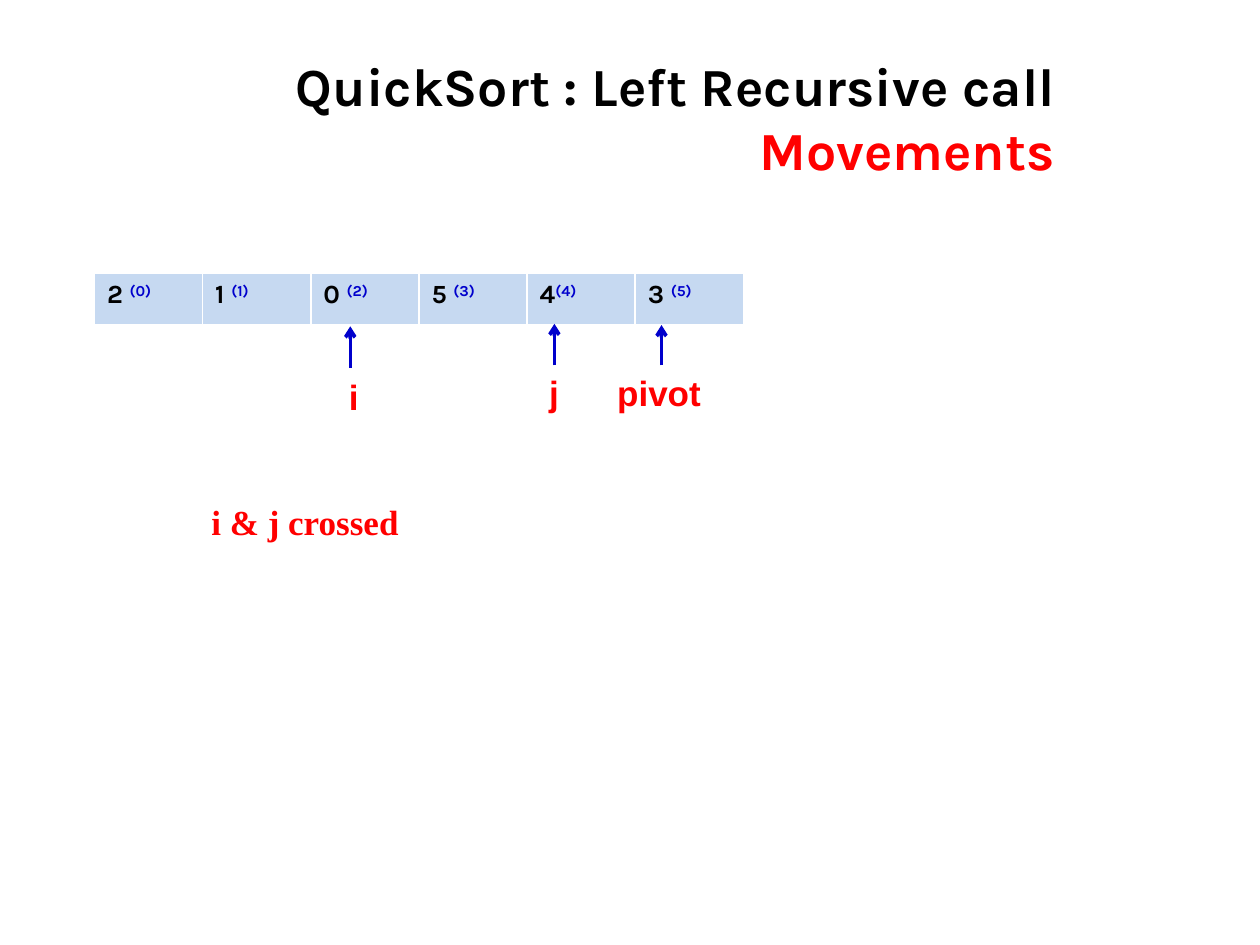
from copy import deepcopy

from lxml.etree import SubElement as Sub
from pptx import Presentation
from pptx.dml.color import RGBColor
from pptx.enum.shapes import MSO_CONNECTOR as Conn
from pptx.enum.text import MSO_ANCHOR as Anchor, MSO_AUTO_SIZE as Auto, PP_ALIGN as Align
from pptx.oxml.ns import qn
from pptx.util import Inches, Pt

BLACK, RED, BLUE, PALE, WHITE = "000000", "FF0000", "0000CC", "C6D9F1", "FFFFFF"


def tint(code):
    """Turn a hex string into a colour."""
    return RGBColor.from_string(code)


def write(para, text, font="Arial", size=20, color=RED, bold=True, base=0):
    """Add a formatted run to a paragraph."""
    run = para.add_run()
    run.text = text
    run.font.name, run.font.size, run.font.bold = font, Pt(size), bold
    run.font.color.rgb = tint(color)
    if base:
        run.font._element.set("baseline", str(base * 1000))
    return run


class Deck:
    """Hold the style and the current slide."""

    def __init__(self, font):
        """Open a deck with one title-only slide."""
        self.font = font
        self.file = Presentation()
        self.file.slide_width, self.file.slide_height = Inches(10), Inches(7.5)
        self.slide = self.file.slides.add_slide(self.file.slide_layouts[5])
        self.shapes = self.slide.shapes

    def title(self, left, top, width, height, first, last):
        """Set the title in two lines, the last one in red."""
        box = self.shapes.title
        box.left, box.top = Inches(left), Inches(top)
        box.width, box.height = Inches(width), Inches(height)
        frame = box.text_frame
        frame.margin_left = frame.margin_right = Inches(0.05)
        frame.margin_top = frame.margin_bottom = 0
        frame.vertical_anchor, frame.auto_size = Anchor.TOP, Auto.NONE
        para = frame.paragraphs[0]
        para.alignment = Align.RIGHT
        look = dict(font=self.font, size=30.6)
        run = write(para, first, color=BLACK, **look)
        para.add_line_break()
        para._p[-1].append(deepcopy(run.font._element))
        write(para, last, **look)

    def edge(self, cell):
        """Give a cell white borders with a thick bottom."""
        props = cell._tc.get_or_add_tcPr()
        for spot, (side, wide) in enumerate((("L", 1), ("R", 1), ("T", 1), ("B", 3))):
            line = Sub(props, qn(f"a:ln{side}"), w=str(Pt(wide)))
            Sub(Sub(line, qn("a:solidFill")), qn("a:srgbClr"), val=WHITE)
            props.insert(spot, line)

    def array(self, left, top, width, height, items):
        """Draw a row of values with raised indices."""
        count = len(items)
        grid = self.shapes.add_table(1, count, Inches(left), Inches(top),
                                     Inches(width), Inches(height)).table
        for index, value in enumerate(items):
            grid.columns[index].width = Inches(width / count)
            cell = grid.cell(0, index)
            cell.fill.solid()
            cell.fill.fore_color.rgb = tint(PALE)
            self.edge(cell)
            para = cell.text_frame.paragraphs[0]
            look = dict(font=self.font, size=15)
            write(para, value, color=BLACK, **look)
            write(para, f"({index})", color=BLUE, base=30, **look)

    def label(self, left, top, width, height, text, **look):
        """Add a text box that fits its text."""
        box = self.shapes.add_textbox(Inches(left), Inches(top), Inches(width), Inches(height))
        box.text_frame.word_wrap = False
        box.text_frame.auto_size = Auto.SHAPE_TO_FIT_TEXT
        write(box.text_frame.paragraphs[0], text, **look)
        return box

    def arrow(self, x, low, high, box=None):
        """Draw an upward arrow, joined to a box if given."""
        line = self.shapes.add_connector(Conn.STRAIGHT, Inches(x), Inches(low),
                                         Inches(x), Inches(high))
        if box:
            line.begin_connect(box, 0)
        line.line.color.rgb, line.line.width = tint(BLUE), Pt(2)
        Sub(line.line._get_or_add_ln(), qn("a:tailEnd"), type="arrow")
        Sub(line._element.spPr, qn("a:effectLst"))


def main():
    """Build and save the slide."""
    deck = Deck("Karla")
    deck.title(0.5, 0.42, 7.92, 0.92, "QuickSort : Left Recursive call", "Movements")
    deck.array(0.75, 2.17, 5.15, 0.42, ["2 ", "1 ", "0 ", "5 ", "4", "3 "])
    deck.label(2.67, 2.93, 0.28, 0.43, "i")
    deck.arrow(2.78, 2.92, 2.59)
    pivot = deck.label(4.8, 2.9, 0.9, 0.43, "pivot")
    deck.arrow(5.25, 2.9, 2.58, pivot)
    box = deck.label(4.26, 2.9, 0.28, 0.43, "j")
    deck.arrow(4.4, 2.9, 2.57, box)
    deck.label(1.58, 3.92, 1.73, 0.44, "i & j crossed", font="Times New Roman")
    deck.file.save("out.pptx")


if __name__ == "__main__":
    main()
